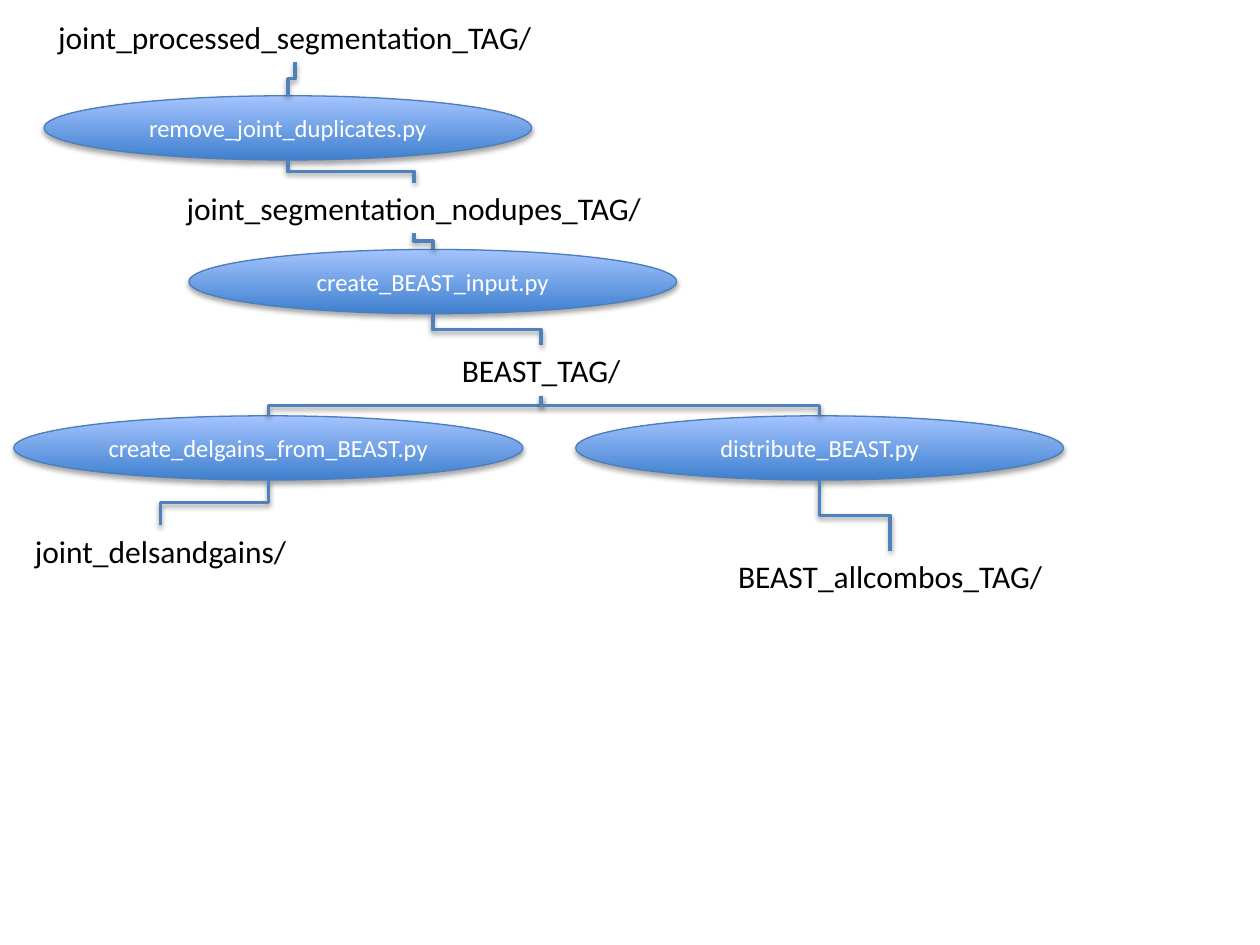
from lxml.etree import SubElement
from pptx import Presentation
from pptx.dml.color import RGBColor
from pptx.enum.shapes import MSO_CONNECTOR as Connector, MSO_SHAPE as Shape
from pptx.enum.text import MSO_ANCHOR as Anchor, MSO_AUTO_SIZE as AutoSize, PP_ALIGN as Align
from pptx.oxml.ns import qn
from pptx.util import Inches, Pt

FOLDER_HEIGHT = 0.4
SCRIPT_HEIGHT = 0.51
TOP, BOTTOM = 0, 2
ELLIPSE_BOTTOM = 4

FOLDERS = {
    "joint_processed_segmentation_TAG/": (0.11, 0.09, 4.46),
    "joint_segmentation_nodupes_TAG/": (1.28, 1.45, 4.01),
    "BEAST_TAG/": (3.43, 2.74, 1.73),
    "joint_delsandgains/": (0.11, 4.17, 2.33),
    "BEAST_allcombos_TAG/": (5.71, 4.37, 2.71),
}
SCRIPTS = {
    "remove_joint_duplicates.py": (0.35, 0.76, 3.87),
    "create_BEAST_input.py": (1.5, 1.98, 3.87),
    "create_delgains_from_BEAST.py": (0.11, 3.3, 4.04),
    "distribute_BEAST.py": (4.57, 3.3, 3.87),
}
STEPS = [
    ("joint_processed_segmentation_TAG/", "remove_joint_duplicates.py"),
    ("remove_joint_duplicates.py", "joint_segmentation_nodupes_TAG/"),
    ("joint_segmentation_nodupes_TAG/", "create_BEAST_input.py"),
    ("create_BEAST_input.py", "BEAST_TAG/"),
    ("BEAST_TAG/", "create_delgains_from_BEAST.py"),
    ("BEAST_TAG/", "distribute_BEAST.py"),
    ("create_delgains_from_BEAST.py", "joint_delsandgains/"),
    ("distribute_BEAST.py", "BEAST_allcombos_TAG/"),
]


def rgb(value):
    """Turn a hex string into a colour."""
    return RGBColor.from_string(value)


def add_shadow(effects, distance, opacity):
    """Add a soft downward shadow to an effect list."""
    shadow = SubElement(effects, qn("a:outerShdw"), blurRad=str(Pt(3.1)),
                        dist=str(Pt(distance)), dir="5400000", rotWithShape="0")
    black = SubElement(shadow, qn("a:srgbClr"), val="000000")
    SubElement(black, qn("a:alpha"), val=str(opacity * 1000))


def write_label(frame, label, size, color):
    """Write one centred line of text."""
    paragraph = frame.paragraphs[0]
    paragraph.text = label
    paragraph.alignment = Align.CENTER
    paragraph.font.name = "Calibri"
    paragraph.font.size = Pt(size)
    paragraph.font.color.rgb = rgb(color)


def add_folder(slide, label, left, top, width):
    """Add a folder name as plain text."""
    folder = slide.shapes.add_textbox(Inches(left), Inches(top), Inches(width), Inches(FOLDER_HEIGHT))
    folder.text_frame.word_wrap = False
    folder.text_frame.auto_size = AutoSize.SHAPE_TO_FIT_TEXT
    write_label(folder.text_frame, label, 18, "000000")
    return folder


def add_script(slide, label, left, top, width):
    """Add a script name in a shaded ellipse."""
    script = slide.shapes.add_shape(Shape.OVAL, Inches(left), Inches(top),
                                    Inches(width), Inches(SCRIPT_HEIGHT))
    script.fill.gradient()
    script.fill.gradient_angle = 90
    for stop, color in zip(script.fill.gradient_stops, ("3F80CE", "A4C4FF")):
        stop.color.rgb = rgb(color)
    script.line.color.rgb = rgb("4B7EBC")
    script.line.width = Pt(0.75)
    script.shadow.inherit = False
    add_shadow(script._element.spPr.find(qn("a:effectLst")), 1.8, 35)
    script.text_frame.vertical_anchor = Anchor.MIDDLE
    write_label(script.text_frame, label, 14, "FFFFFF")
    return script


def add_step(slide, source, target, from_script):
    """Join the bottom of one node to the top of the next with a vertical elbow."""
    start_x, start_y = source.left + source.width // 2, source.top + source.height
    end_x, end_y = target.left + target.width // 2, target.top
    step = slide.shapes.add_connector(Connector.ELBOW, start_x, start_y, end_x, end_y)
    step.begin_connect(source, BOTTOM)
    step.end_connect(target, TOP)
    if from_script:
        step._element.nvCxnSpPr.cNvCxnSpPr.stCxn.set("idx", str(ELLIPSE_BOTTOM))

    frame = step._element.spPr.find(qn("a:xfrm"))
    for flip in ("flipH", "flipV"):
        frame.attrib.pop(flip, None)
    if end_x > start_x:
        frame.set("rot", "16200000")
        frame.set("flipH", "1")
    else:
        frame.set("rot", "5400000")
    step.width, step.height = end_y - start_y, abs(end_x - start_x)
    step.left = (start_x + end_x - step.width) // 2
    step.top = (start_y + end_y - step.height) // 2

    step.line.color.rgb = rgb("4F81BD")
    step.line.width = Pt(2)
    add_shadow(SubElement(step._element.spPr, qn("a:effectLst")), 1.6, 38)


def add_pipeline(slide):
    """Draw the folders, the scripts and the steps between them."""
    nodes = {label: add_folder(slide, label, *box) for label, box in FOLDERS.items()}
    nodes.update({label: add_script(slide, label, *box) for label, box in SCRIPTS.items()})
    for source, target in STEPS:
        add_step(slide, nodes[source], nodes[target], source in SCRIPTS)


def main():
    """Build and save the slide."""
    deck = Presentation()
    deck.slide_width, deck.slide_height = Inches(10), Inches(7.5)
    add_pipeline(deck.slides.add_slide(deck.slide_layouts[6]))
    deck.save("out.pptx")


if __name__ == "__main__":
    main()
